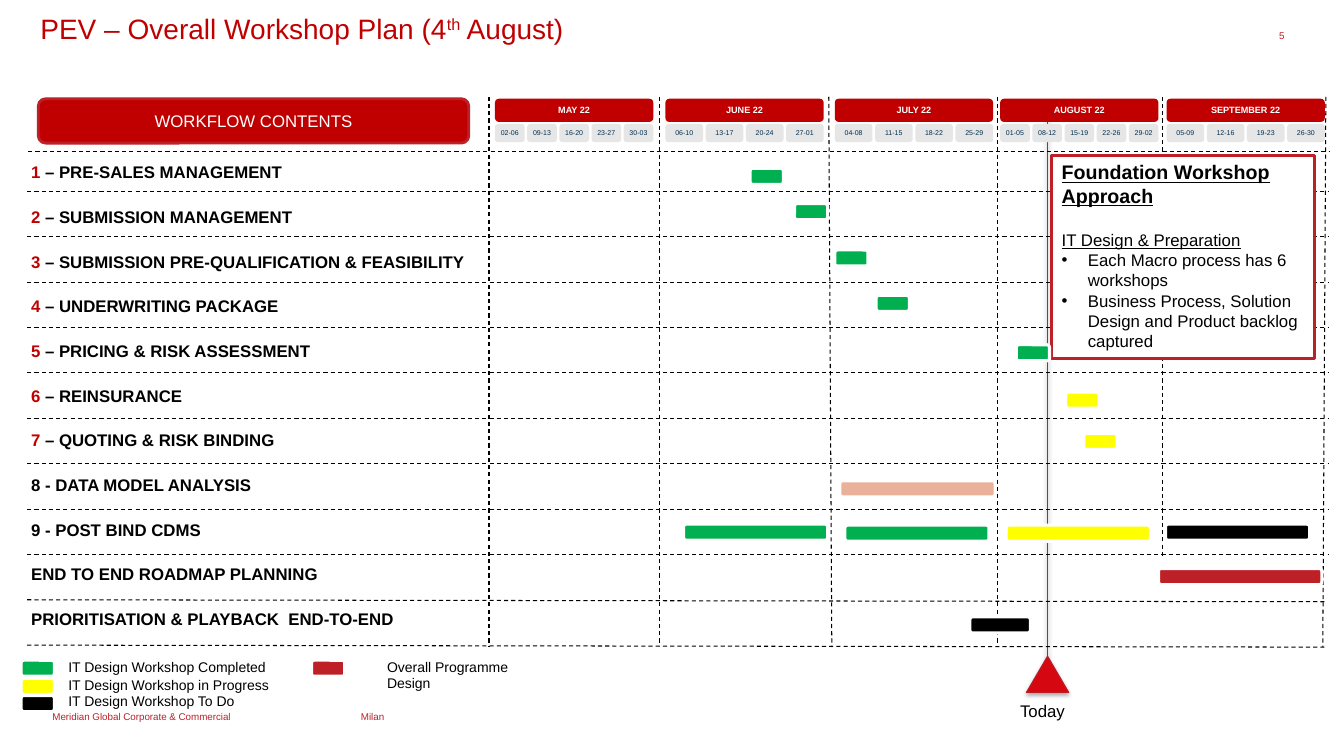
"""Build the overall workshop plan slide as a Gantt-style chart."""
from dataclasses import dataclass
from typing import NamedTuple, Optional

from lxml.etree import SubElement
from pptx import Presentation
from pptx.dml.color import RGBColor
from pptx.enum.dml import MSO_LINE
from pptx.enum.shapes import MSO_CONNECTOR, MSO_SHAPE
from pptx.enum.text import MSO_ANCHOR, MSO_AUTO_SIZE, PP_ALIGN
from pptx.oxml.ns import qn
from pptx.util import Inches, Pt


@dataclass(frozen=True)
class Theme:
    font: str = "Arial"
    red: str = "C00000"
    crimson: str = "BD2027"
    marker: str = "D50812"
    marker_edge: str = "BD1B23"
    green: str = "00B050"
    yellow: str = "FFFF00"
    peach: str = "E9B09A"
    black: str = "000000"
    white: str = "FFFFFF"
    grey: str = "E6E6E6"
    navy: str = "002E4F"
    title: float = 20
    heading: float = 14
    body: float = 12
    legend: float = 10
    footer: float = 7
    month: float = 6.5
    week: float = 5


T = Theme()


class Box(NamedTuple):
    x: float
    y: float
    w: float
    h: float


class Span(NamedTuple):
    text: str
    size: float
    color: str = T.black
    bold: bool = False
    underline: bool = False


class Month(NamedTuple):
    x: float
    name: str
    weeks: str


class Bar(NamedTuple):
    x: float
    y: float
    color: str
    w: float = 0.33


class Key(NamedTuple):
    x: float
    y: float
    color: str
    label: Box
    lines: list[str]


class Line(NamedTuple):
    x1: float
    y1: float
    x2: float
    y2: float


MONTHS = [
    Month(4.91, "MAY 22", "02-06 09-13 16-20 23-27 30-03"),
    Month(6.6, "JUNE 22", "06-10 13-17 20-24 27-01"),
    Month(8.28, "JULY 22", "04-08 11-15 18-22 25-29"),
    Month(9.92, "AUGUST 22", "01-05 08-12 15-19 22-26 29-02"),
    Month(11.57, "SEPTEMBER 22", "05-09 12-16 19-23 26-30"),
]
WORKFLOWS = [
    ("1", " – PRE-SALES MANAGEMENT"),
    ("2", " – SUBMISSION MANAGEMENT"),
    ("3", " – SUBMISSION PRE-QUALIFICATION & FEASIBILITY"),
    ("4", " – UNDERWRITING PACKAGE"),
    ("5", " – PRICING & RISK ASSESSMENT"),
    ("6", " – REINSURANCE"),
    ("7", " – QUOTING & RISK BINDING"),
    ("", "8 - DATA MODEL ANALYSIS"),
    ("", "9 - POST BIND CDMS"),
    ("", "END TO END ROADMAP PLANNING"),
    ("", "PRIORITISATION & PLAYBACK  END-TO-END"),
]
BARS = [
    Bar(7.44, 1.67, T.green), Bar(7.88, 2.02, T.green), Bar(8.28, 2.48, T.green),
    Bar(8.69, 2.93, T.green), Bar(10.08, 3.42, T.green), Bar(10.57, 3.89, T.yellow),
    Bar(10.75, 4.3, T.yellow), Bar(8.33, 4.77, T.peach, 1.54),
    Bar(6.78, 5.2, T.green, 1.43), Bar(8.38, 5.21, T.green, 1.43),
    Bar(9.98, 5.21, T.yellow, 1.43), Bar(11.56, 5.2, T.black, 1.43),
    Bar(11.49, 5.64, T.crimson, 1.62), Bar(9.62, 6.12, T.black, 0.6),
]
KEYS = [
    Key(0.21, 6.55, T.green, Box(0.58, 6.48, 3.91, 0.27), ["IT Design Workshop Completed"]),
    Key(0.21, 6.73, T.yellow, Box(0.58, 6.66, 2.41, 0.27), ["IT Design Workshop in Progress"]),
    Key(0.21, 6.9, T.black, Box(0.58, 6.82, 2.67, 0.27), ["IT Design Workshop To Do"]),
    Key(3.09, 6.55, T.crimson, Box(3.74, 6.48, 1.49, 0.44), ["Overall Programme", "Design"]),
]
MONTH_LINES = [
    Line(4.85, 0.96, 4.85, 6.42), Line(6.54, 0.96, 6.54, 6.4), Line(8.22, 0.96, 8.25, 6.42),
    Line(9.89, 0.96, 9.89, 6.4), Line(11.53, 0.96, 11.53, 5.54), Line(13.15, 0.96, 13.12, 6.42),
]
ROW_LINES = [Line(0.28, 1.5, 13.19, 1.5)]
ROW_LINES += [Line(0.27, 1.9 + 0.45 * i, 13.18, 1.9 + 0.45 * i) for i in range(9)]
ROW_LINES += [Line(0.27, y, 13.14, y + 0.02) for y in (5.95, 6.4)]
CALLOUT = [
    (Span("Foundation Workshop Approach", T.heading, bold=True, underline=True), False),
    (Span("IT Design & Preparation", T.body, underline=True), False),
    (Span("Each Macro process has 6 workshops", T.body), True),
    (Span("Business Process, Solution Design and Product backlog captured", T.body), True),
]


def rgb(color: str) -> RGBColor:
    return RGBColor.from_string(color)


def place(sp, box: Box) -> None:
    sp.left, sp.top, sp.width, sp.height = (Inches(v) for v in box)


def add_run(p, span: Span):
    r = p.add_run()
    r.text = span.text
    f = r.font
    f.name, f.size, f.bold, f.underline = T.font, Pt(span.size), span.bold, span.underline
    f.color.rgb = rgb(span.color)
    return r


def set_effect(sp, alpha: Optional[int] = None, dist: int = 0) -> None:
    effects = SubElement(sp.element.spPr, qn("a:effectLst"))
    if alpha is not None:
        shadow = SubElement(effects, qn("a:outerShdw"), blurRad="40000", dist=str(dist),
                            dir="5400000", rotWithShape="0")
        color = SubElement(shadow, qn("a:srgbClr"), val=T.black)
        SubElement(color, qn("a:alpha"), val=str(alpha * 1000))


def add_line(s, line: Line, color: str = T.black, dashed: bool = True):
    sp = s.shapes.add_connector(MSO_CONNECTOR.STRAIGHT, *(Inches(v) for v in line))
    sp.line.color.rgb, sp.line.width = rgb(color), Pt(0.75)
    if dashed:
        sp.line.dash_style = MSO_LINE.DASH
    return sp


def add_shape(s, box: Box, fill: str, edge: Optional[str] = None, width: float = 2.25,
              span: Optional[Span] = None, side: float = 0.1, kind=MSO_SHAPE.ROUNDED_RECTANGLE):
    sp = s.shapes.add_shape(kind, *(Inches(v) for v in box))
    sp.fill.solid()
    sp.fill.fore_color.rgb = rgb(fill)
    if edge:
        sp.line.color.rgb, sp.line.width = rgb(edge), Pt(width)
    else:
        sp.line.fill.background()
    if span:
        tf = sp.text_frame
        tf.margin_left = tf.margin_right = Inches(side)
        tf.vertical_anchor = MSO_ANCHOR.MIDDLE
        tf.paragraphs[0].alignment = PP_ALIGN.CENTER
        add_run(tf.paragraphs[0], span)
    return sp


def add_text(s, box: Box, lines: list[list[Span]], align=PP_ALIGN.LEFT, inset: bool = True) -> None:
    tf = s.shapes.add_textbox(*(Inches(v) for v in box)).text_frame
    tf.word_wrap = True
    if not inset:
        tf.margin_left = tf.margin_right = tf.margin_top = tf.margin_bottom = 0
    for i, spans in enumerate(lines):
        p = tf.add_paragraph() if i else tf.paragraphs[0]
        p.alignment = align
        for span in spans:
            add_run(p, span)


def add_month(s, month: Month) -> None:
    width, gap = 1.57, 0.025
    weeks = month.weeks.split()
    cell = (width - gap * (len(weeks) - 1)) / len(weeks)
    sp = add_shape(s, Box(month.x, 0.98, width, 0.23), T.red, side=0.04,
                   span=Span(month.name, T.month, T.white, True))
    sp.shadow.inherit = False
    for i, week in enumerate(weeks):
        sp = add_shape(s, Box(month.x + i * (cell + gap), 1.23, cell, 0.18), T.grey, side=0,
                       span=Span(week, T.week, T.navy))
        sp.shadow.inherit = False


def fill_title(sp) -> None:
    place(sp, Box(0.3, 0.06, 12.97, 0.76))
    tf = sp.text_frame
    tf.auto_size, tf.vertical_anchor = MSO_AUTO_SIZE.NONE, MSO_ANCHOR.TOP
    p = tf.paragraphs[0]
    p.alignment = PP_ALIGN.LEFT
    for text in ("PEV – Overall Workshop Plan (4", "th", " August)"):
        r = add_run(p, Span(text, T.title, T.red))
        if text == "th":
            r.font._element.set("baseline", "30000")


def fill_callout(s, sp) -> None:
    place(sp, Box(10.43, 1.54, 2.61, 2.02))
    sp.fill.solid()
    sp.fill.fore_color.rgb = rgb(T.white)
    sp.line.color.rgb, sp.line.width = rgb(T.crimson), Pt(2)
    tf = sp.text_frame
    tf.auto_size = MSO_AUTO_SIZE.NONE
    for i, (span, bulleted) in enumerate(CALLOUT):
        p = tf.add_paragraph() if i else tf.paragraphs[0]
        pPr = p._p.get_or_add_pPr()
        indent = Inches(0.26) if bulleted else 0
        pPr.set("marL", str(indent))
        pPr.set("indent", str(-indent))
        if bulleted:
            SubElement(pPr, qn("a:buChar"), char="•")
        else:
            SubElement(pPr, qn("a:buNone"))
        p.space_before, p.line_spacing = Pt(16 if i == 1 else 0), 1.0
        add_run(p, span)
    s.shapes.element.append(sp.element)


def main() -> None:
    prs = Presentation()
    prs.slide_width, prs.slide_height = Inches(13.33), Inches(7.5)
    s = prs.slides.add_slide(prs.slide_layouts[1])
    fill_title(s.shapes.title)

    today = add_line(s, Line(10.39, 1, 10.39, 6.51), T.crimson, dashed=False)
    set_effect(today, 38, 20000)
    for line in MONTH_LINES + ROW_LINES:
        set_effect(add_line(s, line))
    for month in MONTHS:
        add_month(s, month)
    header = add_shape(s, Box(0.38, 0.98, 4.27, 0.44), T.red, T.crimson, 2,
                       Span("WORKFLOW CONTENTS", T.body, T.white))
    header.shadow.inherit = False
    for i, (number, name) in enumerate(WORKFLOWS):
        spans = [Span(number, T.body, T.red, True)] if number else []
        add_text(s, Box(0.21, 1.56 + 0.443 * i, 4.68, 0.3), [spans + [Span(name, T.body, bold=True)]])

    fill_callout(s, s.placeholders[1])
    for bar in BARS + [Bar(key.x, key.y, key.color) for key in KEYS]:
        sp = add_shape(s, Box(bar.x, bar.y, bar.w, 0.16), bar.color, T.white)
        sp.shadow.inherit = False
    for key in KEYS:
        add_text(s, key.label, [[Span(text, T.legend)] for text in key.lines])

    marker = add_shape(s, Box(10.18, 6.51, 0.42, 0.36), T.marker, T.marker_edge, 0.75,
                       kind=MSO_SHAPE.ISOSCELES_TRIANGLE)
    set_effect(marker, 35, 23000)
    today.end_connect(marker, 0)
    add_text(s, Box(9.59, 6.9, 1.5, 0.3), [[Span("Today", T.body)]], PP_ALIGN.CENTER)
    for box, text, align in (
        (Box(0.52, 7.05, 2.88, 0.12), "Meridian Global Corporate & Commercial", PP_ALIGN.LEFT),
        (Box(3.58, 7.05, 1.64, 0.12), "Milan", PP_ALIGN.LEFT),
        (Box(12.45, 0.29, 0.29, 0.2), "5", PP_ALIGN.RIGHT),
    ):
        add_text(s, box, [[Span(text, T.footer, T.crimson)]], align, inset=False)
    prs.save("out.pptx")


if __name__ == "__main__":
    main()
